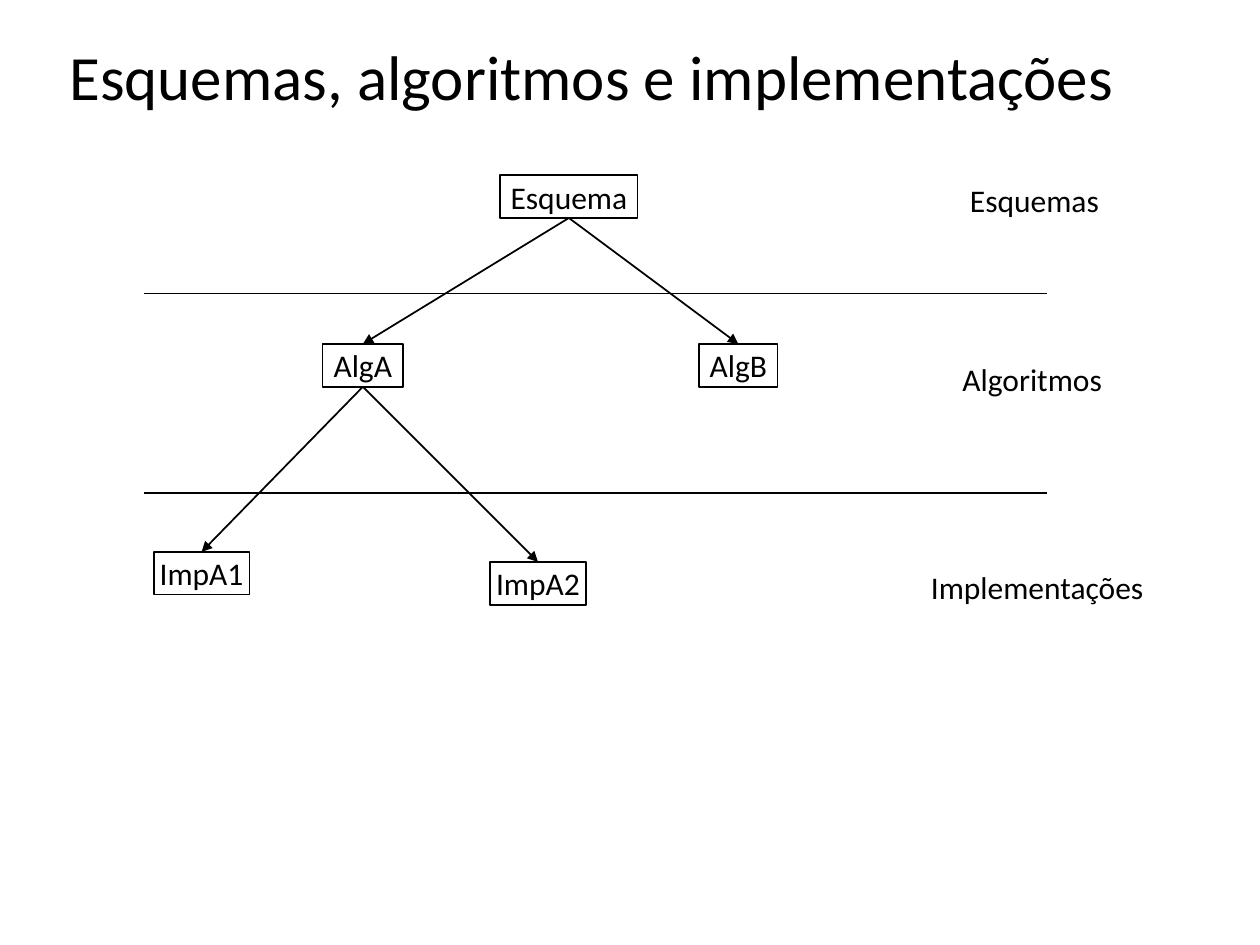
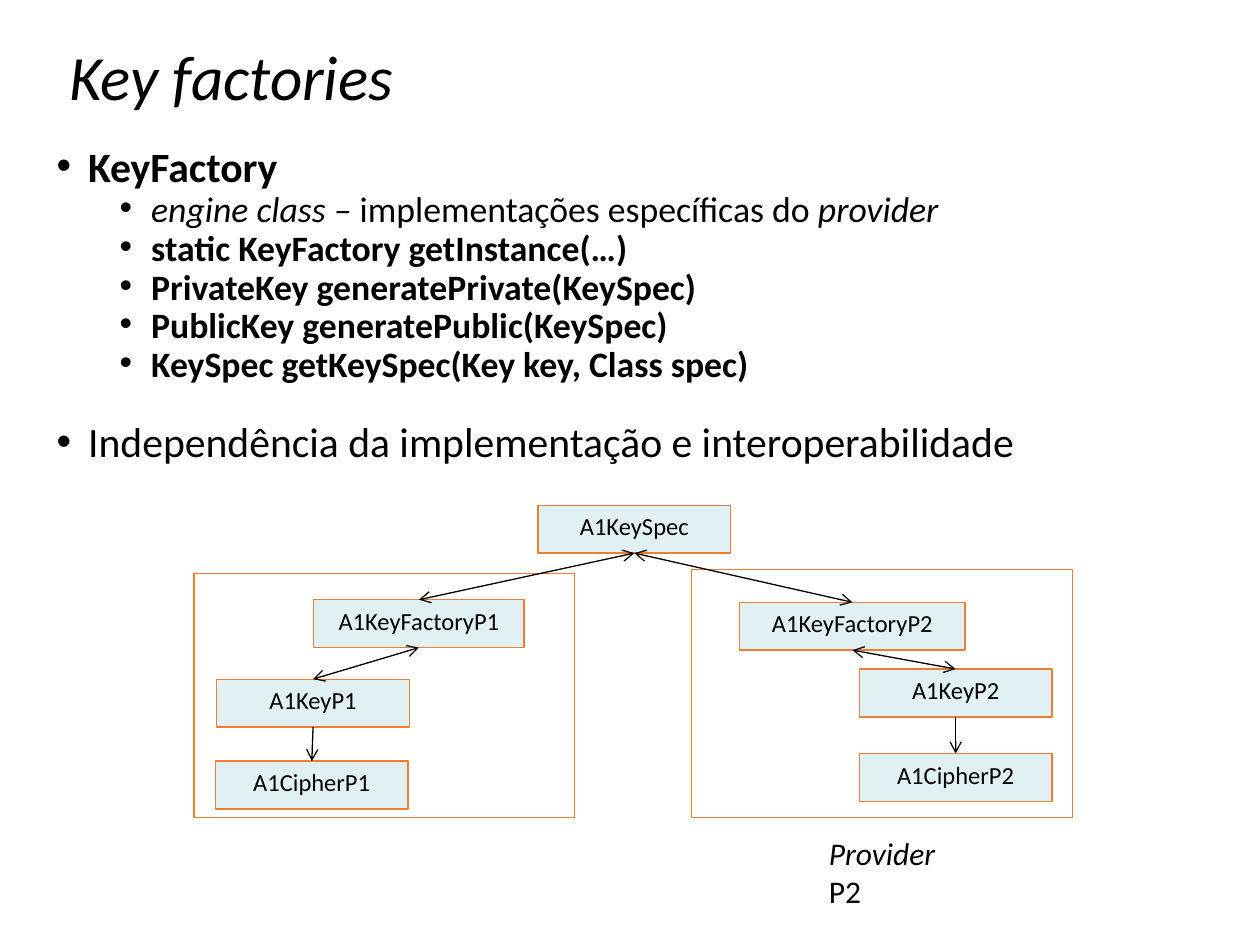
import pptx
import pptx.util
import pptx.dml.color
import pptx.enum.shapes
import pptx.enum.text
import pptx.oxml.ns
import lxml.etree

Inches, Pt = pptx.util.Inches, pptx.util.Pt
color = pptx.dml.color.RGBColor.from_string
qn = pptx.oxml.ns.qn
ALIGN, ANCHOR = pptx.enum.text.PP_ALIGN, pptx.enum.text.MSO_ANCHOR
RECTANGLE = pptx.enum.shapes.MSO_SHAPE.RECTANGLE
STRAIGHT = pptx.enum.shapes.MSO_CONNECTOR.STRAIGHT

FONT = "Calibri"
BLACK, ORANGE, PALE_BLUE = "000000", "ED7D31", "E1F1F3"
TOP, BOTTOM = 0, 2  # connection sites of a rectangle


def add_box(slide, place, text="", size=18, fill=None, line=None, width=1,
            align=ALIGN.CENTER, anchor=ANCHOR.TOP, wrap=False):
    """Add a rectangle, or a plain text box when it has no line."""
    place = [Inches(length) for length in place]
    if line:
        shape = slide.shapes.add_shape(RECTANGLE, *place)
        shape.shadow.inherit = False
        shape.line.color.rgb = color(line)
        shape.line.width = Pt(width)
        if fill:
            shape.fill.solid()
            shape.fill.fore_color.rgb = color(fill)
        else:
            shape.fill.background()
    else:
        shape = slide.shapes.add_textbox(*place)
    shape.text_frame.word_wrap = wrap
    shape.text_frame.vertical_anchor = anchor
    paragraph = shape.text_frame.paragraphs[0]
    paragraph.text = text
    paragraph.alignment = align
    paragraph.font.name = FONT
    paragraph.font.size = Pt(size)
    paragraph.font.color.rgb = color(BLACK)
    return shape


def style_line(connector, width, head=None, tail=None):
    """Make a connector black, without shadow, with the given arrowheads."""
    connector.line.color.rgb = color(BLACK)
    connector.line.width = Pt(width)
    for tag, kind in (("a:headEnd", head), ("a:tailEnd", tail)):
        if kind:
            lxml.etree.SubElement(connector.get_or_add_ln(), qn(tag), type=kind)
    lxml.etree.SubElement(connector._element.spPr, qn("a:effectLst"))


presentation = pptx.Presentation()
presentation.slide_width = Inches(10)
presentation.slide_height = Inches(7.5)

# Slides and their titles: title only, then title and content
slides = []
for layout, text, italic in ((5, "Esquemas, algoritmos e implementações", False),
                             (1, "Key factories", True)):
    slide = presentation.slides.add_slide(presentation.slide_layouts[layout])
    title = slide.shapes.title
    title.left, title.top = Inches(0.45), Inches(0.28)
    title.width, title.height = Inches(9.1), Inches(0.72)
    title.text_frame.text = text
    title.text_frame.vertical_anchor = ANCHOR.MIDDLE
    title.text_frame.auto_size = pptx.enum.text.MSO_AUTO_SIZE.NONE
    paragraph = title.text_frame.paragraphs[0]
    paragraph.alignment = ALIGN.LEFT
    paragraph.line_spacing = 0.9
    paragraph.font.name = FONT
    paragraph.font.size = Pt(36)
    paragraph.font.italic = italic
    paragraph.font.color.rgb = color(BLACK)
    slides.append(slide)
scheme_slide, factory_slide = slides

# Slide 1: tree of scheme, algorithms and implementations
nodes = {}
for name, left, top, width in (("Esquema", 3.97, 1.39, 1.09),
                               ("AlgA", 2.56, 2.73, 0.64),
                               ("AlgB", 5.55, 2.73, 0.62),
                               ("ImpA1", 1.22, 4.38, 0.76),
                               ("ImpA2", 3.89, 4.46, 0.76)):
    nodes[name] = add_box(scheme_slide, (left, top, width, 0.34), name,
                          line=BLACK, anchor=ANCHOR.MIDDLE)

# Level dividers and level names
for y in (2.33, 3.91):
    divider = scheme_slide.shapes.add_connector(
        STRAIGHT, Inches(1.14), Inches(y), Inches(8.31), Inches(y))
    style_line(divider, 1)
for name, left, top, width in (("Esquemas", 7.6, 1.39, 1.26),
                               ("Algoritmos", 7.54, 2.81, 1.35),
                               ("Implementações", 7.29, 4.46, 1.9)):
    add_box(scheme_slide, (left, top, width, 0.41), name, align=ALIGN.LEFT)

# Slide 2: provider frames
for left, top, height in ((1.54, 4.55, 1.94), (5.49, 4.52, 1.97)):
    add_box(factory_slide, (left, top, 3.02, height), line=ORANGE, width=0.75)

# Class boxes
for name, left, top, width in (("A1KeySpec", 4.27, 4.01, 1.53),
                               ("A1KeyFactoryP1", 2.49, 4.76, 1.67),
                               ("A1KeyFactoryP2", 5.87, 4.78, 1.79),
                               ("A1KeyP1", 1.72, 5.39, 1.53),
                               ("A1KeyP2", 6.82, 5.31, 1.53),
                               ("A1CipherP1", 1.71, 6.04, 1.53),
                               ("A1CipherP2", 6.82, 5.98, 1.53)):
    nodes[name] = add_box(factory_slide, (left, top, width, 0.38), name, size=14,
                          fill=PALE_BLUE, line=ORANGE, width=0.75)

# Arrows of both diagrams, from the bottom of one box to the top of the next
tree_arrow = (scheme_slide, 1, None, "triangle")
two_way = (factory_slide, 0.75, "arrow", "arrow")
one_way = (factory_slide, 0.75, None, "arrow")
arrows = [("Esquema", "AlgA", tree_arrow), ("Esquema", "AlgB", tree_arrow),
          ("AlgA", "ImpA1", tree_arrow), ("AlgA", "ImpA2", tree_arrow)]
for provider in ("P1", "P2"):
    arrows += [("A1KeySpec", "A1KeyFactory" + provider, two_way),
               ("A1KeyFactory" + provider, "A1Key" + provider, two_way),
               ("A1Key" + provider, "A1Cipher" + provider, one_way)]
for start, end, (slide, width, head, tail) in arrows:
    arrow = slide.shapes.add_connector(STRAIGHT, 0, 0, 0, 0)
    arrow.begin_connect(nodes[start], BOTTOM)
    arrow.end_connect(nodes[end], TOP)
    style_line(arrow, width, head, tail)

# Provider caption
caption = add_box(factory_slide, (6.48, 6.57, 1.23, 0.34), align=ALIGN.LEFT, wrap=True)
for text, italic in (("Provider", True), (" P2", False)):
    run = caption.text_frame.paragraphs[0].add_run()
    run.text = text
    run.font.italic = italic

# Bullets: level, line spacing, bold, runs of (text, italic)
bullets = [
    (0, 0.7, True, [("KeyFactory ", False)]),
    (1, 0.7, False, [("engine class – ", True),
                     ("implementações específicas do ", False), ("provider", True)]),
    (1, 0.7, True, [("static KeyFactory getInstance(…)", False)]),
    (1, 0.7, True, [("PrivateKey generatePrivate(KeySpec)", False)]),
    (1, 0.7, True, [("PublicKey generatePublic(KeySpec)", False)]),
    (1, 0.7, True, [("KeySpec getKeySpec(Key key, Class spec)", False)]),
    (0, 1.3, False, [("Independência da implementação e interoperabilidade", False)]),
]
body = factory_slide.placeholders[1]
body.left, body.top = Inches(0.35), Inches(1.18)
body.width, body.height = Inches(9.15), Inches(2.71)
body.text_frame.auto_size = pptx.enum.text.MSO_AUTO_SIZE.NONE
for index, (level, spacing, bold, runs) in enumerate(bullets):
    paragraph = body.text_frame.add_paragraph() if index else body.text_frame.paragraphs[0]
    paragraph.level = level
    paragraph.line_spacing = spacing
    paragraph.space_before = Pt((10, 5)[level])
    properties = paragraph._p.get_or_add_pPr()
    properties.set("marL", str(Inches((0.25, 0.75)[level])))
    properties.set("indent", str(Inches(-0.25)))
    lxml.etree.SubElement(properties, qn("a:buFont"), typeface="Arial")
    lxml.etree.SubElement(properties, qn("a:buChar"), char="•")
    paragraph.font.name = FONT
    paragraph.font.size = Pt((23.8, 20.4)[level])
    paragraph.font.bold = bold
    paragraph.font.color.rgb = color(BLACK)
    for text, italic in runs:
        run = paragraph.add_run()
        run.text = text
        run.font.italic = italic

presentation.save("out.pptx")
